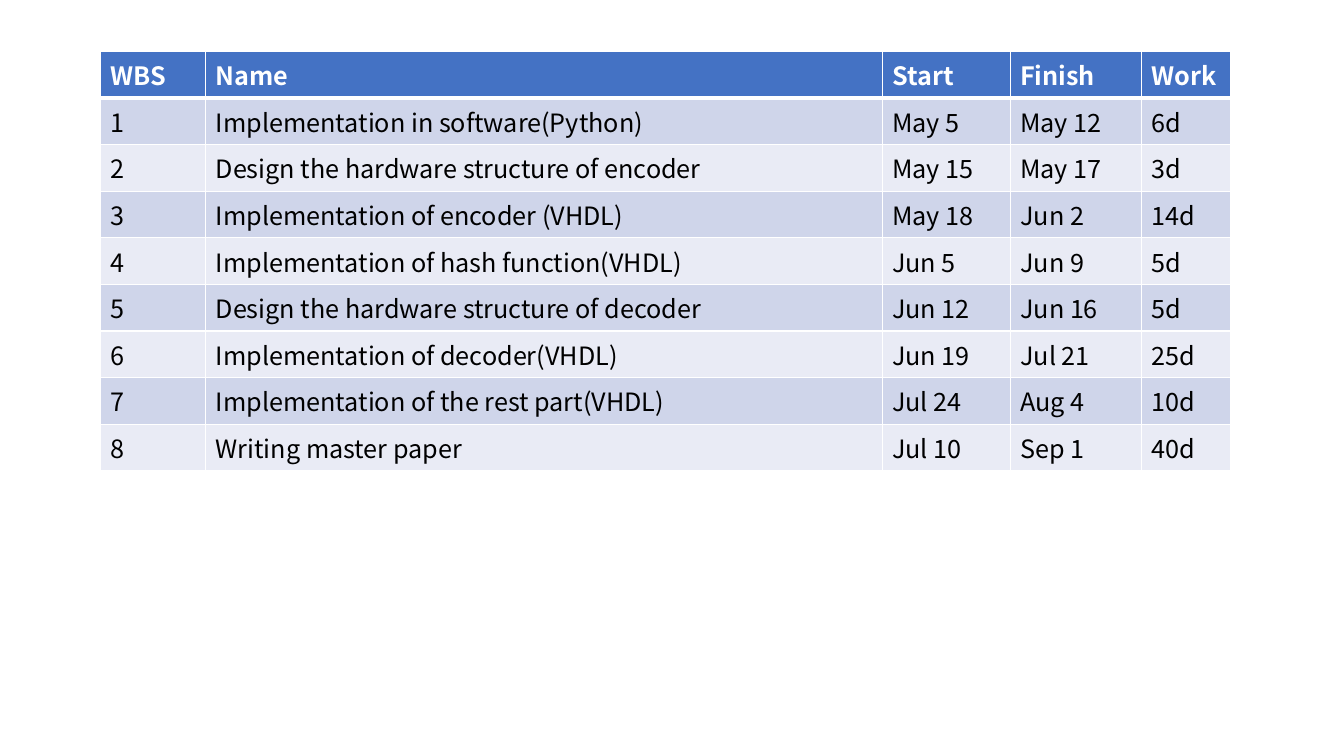
"""Build a slide with a project schedule table."""
from dataclasses import astuple, dataclass

from pptx import Presentation
from pptx.dml.color import RGBColor
from pptx.oxml.ns import qn
from pptx.slide import Slide
from pptx.table import _Cell
from pptx.util import Inches, Pt
from lxml import etree

BLANK_LAYOUT = 6
SLIDE_WIDTH = Inches(13.33)
SLIDE_HEIGHT = Inches(7.5)
TABLE_LEFT = round(SLIDE_WIDTH * 0.075)
TABLE_TOP = round(SLIDE_HEIGHT * 0.068)
ROW_HEIGHT = Inches(0.46)
COLUMN_WIDTHS = [Inches(width) for width in (1.04, 6.71, 1.27, 1.3, 0.89)]


@dataclass(frozen=True)
class Theme:
    """Hold the colours, type and line sizes of the slide."""

    font: str = "Noto Sans CJK SC"
    text_size: int = 18
    header_text: str = "FFFFFF"
    body_text: str = "000000"
    header_fill: str = "4472C4"
    band_fills: tuple[str, str] = ("CFD5EA", "E9EBF5")
    border: str = "FFFFFF"
    border_width: int = 1
    header_rule_width: int = 3


@dataclass(frozen=True)
class Task:
    """Describe one row of the schedule."""

    wbs: str
    name: str
    start: str
    finish: str
    work: str


@dataclass(frozen=True)
class RowStyle:
    """Describe the look of one table row."""

    fill: str
    text: str
    bold: bool
    top_width: int
    bottom_width: int


THEME = Theme()
HEADER = Task("WBS", "Name", "Start", "Finish", "Work")
TASKS = [
    Task("1", "Implementation in software(Python)", "May 5", "May 12", "6d"),
    Task("2", "Design the hardware structure of encoder", "May 15", "May 17", "3d"),
    Task("3", "Implementation of encoder (VHDL)", "May 18", "Jun 2", "14d"),
    Task("4", "Implementation of hash function(VHDL)", "Jun 5", "Jun 9", "5d"),
    Task("5", "Design the hardware structure of decoder", "Jun 12", "Jun 16", "5d"),
    Task("6", "Implementation of decoder(VHDL)", "Jun 19", "Jul 21", "25d"),
    Task("7", "Implementation of the rest part(VHDL)", "Jul 24", "Aug 4", "10d"),
    Task("8", "Writing master paper", "Jul 10", "Sep 1", "40d"),
]


def row_style(row_index: int) -> RowStyle:
    """Return the header style or the banded body style of a row."""
    thin, thick = THEME.border_width, THEME.header_rule_width
    if row_index == 0:
        return RowStyle(THEME.header_fill, THEME.header_text, True, thin, thick)
    fill = THEME.band_fills[(row_index - 1) % len(THEME.band_fills)]
    top_width = thick if row_index == 1 else thin
    return RowStyle(fill, THEME.body_text, False, top_width, thin)


def add_borders(cell: _Cell, style: RowStyle) -> None:
    """Draw the four border lines of a cell."""
    properties = cell._tc.get_or_add_tcPr()
    widths = {
        "a:lnL": THEME.border_width,
        "a:lnR": THEME.border_width,
        "a:lnT": style.top_width,
        "a:lnB": style.bottom_width,
    }
    for tag, width in widths.items():
        line = etree.SubElement(properties, qn(tag), w=str(Pt(width)))
        fill = etree.SubElement(line, qn("a:solidFill"))
        etree.SubElement(fill, qn("a:srgbClr"), val=THEME.border)


def fill_cell(cell: _Cell, text: str, style: RowStyle) -> None:
    """Give a cell its borders, fill and text."""
    add_borders(cell, style)
    cell.fill.solid()
    cell.fill.fore_color.rgb = RGBColor.from_string(style.fill)
    run = cell.text_frame.paragraphs[0].add_run()
    run.text = text
    run.font.name = THEME.font
    run.font.size = Pt(THEME.text_size)
    run.font.bold = style.bold
    run.font.color.rgb = RGBColor.from_string(style.text)


def add_schedule(slide: Slide, tasks: list[Task]) -> None:
    """Add the schedule table with its header row."""
    entries = [HEADER, *tasks]
    table = slide.shapes.add_table(
        len(entries), len(COLUMN_WIDTHS), TABLE_LEFT, TABLE_TOP,
        sum(COLUMN_WIDTHS), ROW_HEIGHT * len(entries),
    ).table
    for column, width in zip(table.columns, COLUMN_WIDTHS):
        column.width = width
    for row_index, (row, entry) in enumerate(zip(table.rows, entries)):
        row.height = ROW_HEIGHT
        style = row_style(row_index)
        for cell, text in zip(row.cells, astuple(entry)):
            fill_cell(cell, text, style)


def main() -> None:
    """Create and save the presentation."""
    presentation = Presentation()
    presentation.slide_width = SLIDE_WIDTH
    presentation.slide_height = SLIDE_HEIGHT
    slide = presentation.slides.add_slide(presentation.slide_layouts[BLANK_LAYOUT])
    add_schedule(slide, TASKS)
    presentation.save("out.pptx")


main()
